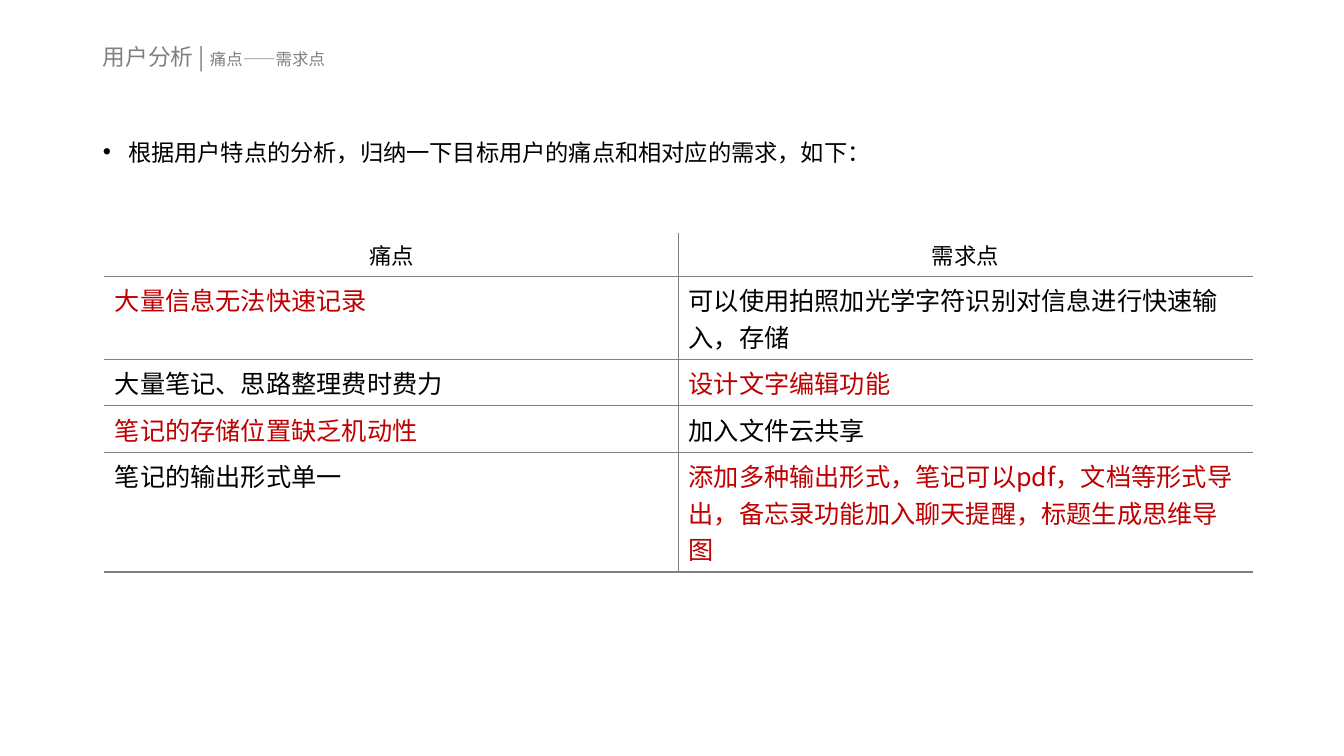
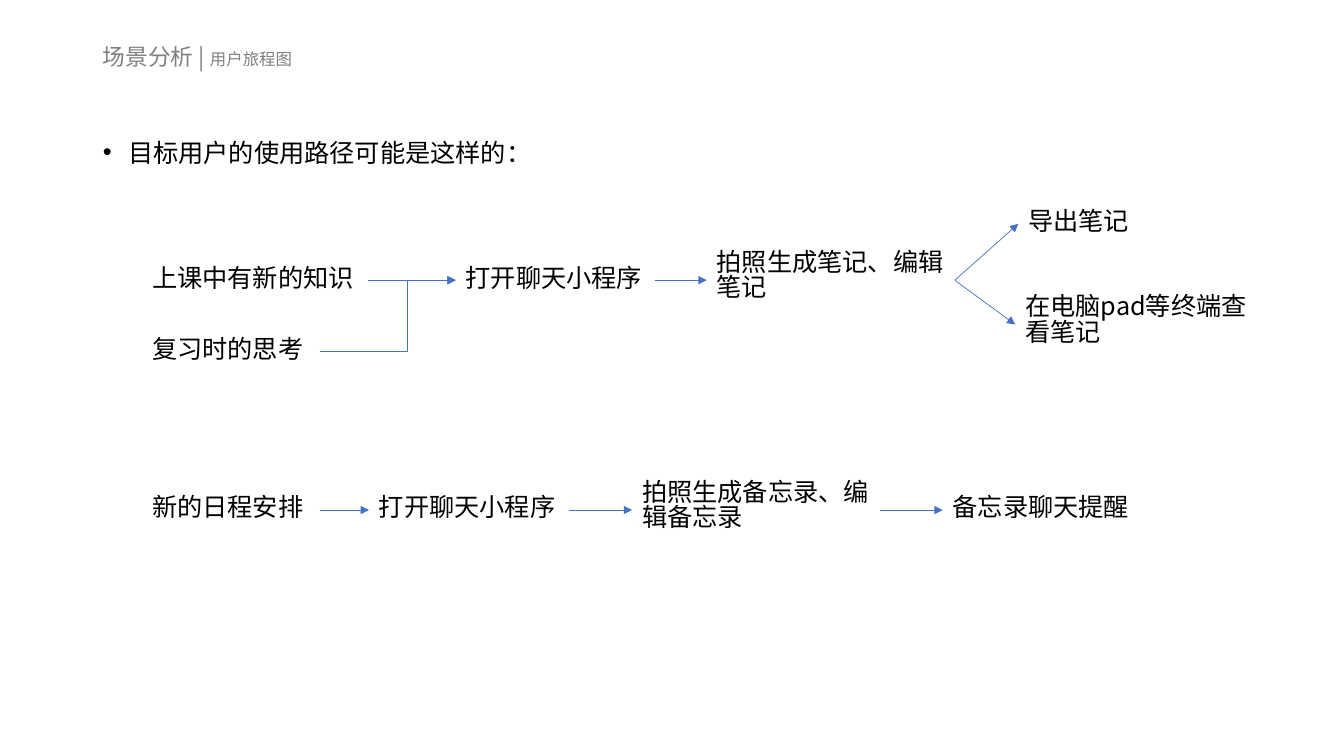
"""Builds two slides: a table of user pain points and needs, and a user journey diagram."""
from dataclasses import dataclass

from lxml import etree
from pptx import Presentation
from pptx.dml.color import RGBColor
from pptx.enum.shapes import MSO_CONNECTOR
from pptx.enum.text import MSO_ANCHOR, MSO_AUTO_SIZE, PP_ALIGN
from pptx.oxml.ns import qn
from pptx.util import Inches, Pt

STRAIGHT, ELBOW = MSO_CONNECTOR.STRAIGHT, MSO_CONNECTOR.ELBOW
MIDDLE, TOP = MSO_ANCHOR.MIDDLE, MSO_ANCHOR.TOP
LEFT, CENTER = PP_ALIGN.LEFT, PP_ALIGN.CENTER
NO_FIT = MSO_AUTO_SIZE.NONE
LEFT_SITE, RIGHT_SITE = 1, 3


@dataclass(frozen=True)
class Theme:
    font: str = "Noto Sans CJK SC"
    text: str = "000000"
    muted: str = "808080"
    accent: str = "C00000"
    arrow: str = "4472C4"
    paper: str = "FFFFFF"
    title: float = 16.2
    subtitle: float = 11.7
    lead: float = 16.6
    header: float = 16
    body: float = 18


THEME = Theme()


def add_run(p, text, size, color=THEME.text):
    r = p.add_run()
    r.text = text
    r.font.size = Pt(size)
    r.font.color.rgb = RGBColor.from_string(color)
    r.font.name = THEME.font
    ea = etree.Element(qn("a:ea"), typeface=THEME.font)
    r.font._element.find(qn("a:latin")).addnext(ea)


def add_page(prs, section, topic, lead, lead_size):
    s = prs.slides.add_slide(prs.slide_layouts[1])
    title, body = s.placeholders
    for sp, top, anchor in ((title, 0.4, MIDDLE), (body, 1.37, TOP)):
        sp.left, sp.top = Inches(0.92), Inches(top)
        sp.width, sp.height = Inches(11.5), Inches(0.35)
        sp.text_frame.auto_size = NO_FIT
        sp.text_frame.vertical_anchor = anchor
        sp.text_frame.paragraphs[0].alignment = LEFT
    p = title.text_frame.paragraphs[0]
    p.line_spacing = 0.9
    add_run(p, section + " | ", THEME.title, THEME.muted)
    add_run(p, topic, THEME.subtitle, THEME.muted)
    p = body.text_frame.paragraphs[0]
    p.line_spacing = 0.8
    p.space_before = Pt(10)
    pPr = p._p.get_or_add_pPr()
    pPr.set("marL", str(Inches(0.25)))
    pPr.set("indent", str(-Inches(0.25)))
    etree.SubElement(pPr, qn("a:buChar"), char="•")
    add_run(p, lead, lead_size)
    return s


prs = Presentation()
prs.slide_width, prs.slide_height = Inches(13.33), Inches(7.5)

s = add_page(prs, "用户分析", "痛点——需求点",
             "根据用户特点的分析，归纳一下目标用户的痛点和相对应的需求，如下：", THEME.lead)

ROWS = [
    (0.38, "痛点", "需求点"),
    (0.72, "大量信息无法快速记录", "可以使用拍照加光学字符识别对信息进行快速输入，存储"),
    (0.41, "大量笔记、思路整理费时费力", "设计文字编辑功能"),
    (0.41, "笔记的存储位置缺乏机动性", "加入文件云共享"),
    (1.03, "笔记的输出形式单一",
     "添加多种输出形式，笔记可以pdf，文档等形式导出，备忘录功能加入聊天提醒，标题生成思维导图"),
]
table = s.shapes.add_table(len(ROWS), 2, Inches(1.04), Inches(2.32),
                           Inches(11.38), Inches(2.95)).table
table.first_row = table.horz_banding = False
for i, (height, *texts) in enumerate(ROWS):
    table.rows[i].height = Inches(height)
    for j, text in enumerate(texts):
        cell = table.cell(i, j)
        tcPr = cell._tc.get_or_add_tcPr()
        ruled = {"lnL": j == 1, "lnR": j == 0, "lnT": i > 0, "lnB": True}
        for side, visible in ruled.items():
            ln = etree.SubElement(tcPr, qn("a:" + side), w=str(Pt(1)))
            fill = etree.SubElement(ln, qn("a:solidFill"))
            etree.SubElement(fill, qn("a:srgbClr"), val=THEME.muted if visible else THEME.paper)
        cell.fill.background()
        p = cell.text_frame.paragraphs[0]
        p.alignment = LEFT if i else CENTER
        stressed = i > 0 and (i + j) % 2 == 1
        add_run(p, text, THEME.body if i else THEME.header,
                THEME.accent if stressed else THEME.text)

s = add_page(prs, "场景分析", "用户旅程图", "目标用户的使用路径可能是这样的：", THEME.body)

NOTE_Y, MEMO_Y = 2.78, 5.06
ONE_LINE, TWO_LINES = 0.4, 0.71
STEPS = {
    "lesson": (1.41, NOTE_Y, 2.24, ONE_LINE, "上课中有新的知识"),
    "review": (1.41, 3.49, 1.76, ONE_LINE, "复习时的思考"),
    "open_note": (4.52, NOTE_Y, 1.98, ONE_LINE, "打开聊天小程序"),
    "edit_note": (7.01, NOTE_Y, 2.46, TWO_LINES, "拍照生成笔记、编辑笔记"),
    "export": (10.1, 2.22, 2.46, ONE_LINE, "导出笔记"),
    "view": (10.07, 3.22, 2.46, TWO_LINES, "在电脑pad等终端查看笔记"),
    "schedule": (1.41, MEMO_Y, 1.76, ONE_LINE, "新的日程安排"),
    "open_memo": (3.66, MEMO_Y, 1.98, ONE_LINE, "打开聊天小程序"),
    "edit_memo": (6.27, MEMO_Y, 2.46, TWO_LINES, "拍照生成备忘录、编辑备忘录"),
    "remind": (9.35, MEMO_Y, 2, ONE_LINE, "备忘录聊天提醒"),
}
boxes = {}
for name, (left, middle, width, height, text) in STEPS.items():
    sp = s.shapes.add_textbox(Inches(left), Inches(middle - height / 2),
                              Inches(width), Inches(height))
    tf = sp.text_frame
    tf.word_wrap = True
    tf.margin_top = Inches(0.07)
    p = tf.paragraphs[0]
    p.line_spacing = 0.83
    add_run(p, text, THEME.body)
    boxes[name] = sp

ARROWS = [
    ("lesson", "open_note", STRAIGHT), ("review", "open_note", ELBOW),
    ("open_note", "edit_note", STRAIGHT), ("edit_note", "export", STRAIGHT),
    ("edit_note", "view", STRAIGHT), ("schedule", "open_memo", STRAIGHT),
    ("open_memo", "edit_memo", STRAIGHT), ("edit_memo", "remind", STRAIGHT),
]
for start, end, kind in ARROWS:
    arrow = s.shapes.add_connector(kind, 0, 0, 0, 0)
    arrow.begin_connect(boxes[start], RIGHT_SITE)
    arrow.end_connect(boxes[end], LEFT_SITE)
    arrow.line.color.rgb = RGBColor.from_string(THEME.arrow)
    arrow.line.width = Pt(0.5)
    spPr = arrow._element.spPr
    etree.SubElement(spPr.find(qn("a:ln")), qn("a:tailEnd"), type="triangle")
    etree.SubElement(spPr, qn("a:effectLst"))
    if kind == ELBOW:
        bend = spPr.find(qn("a:prstGeom")).find(qn("a:avLst"))
        etree.SubElement(bend, qn("a:gd"), name="adj1", fmla="val 64800")

prs.save("out.pptx")
